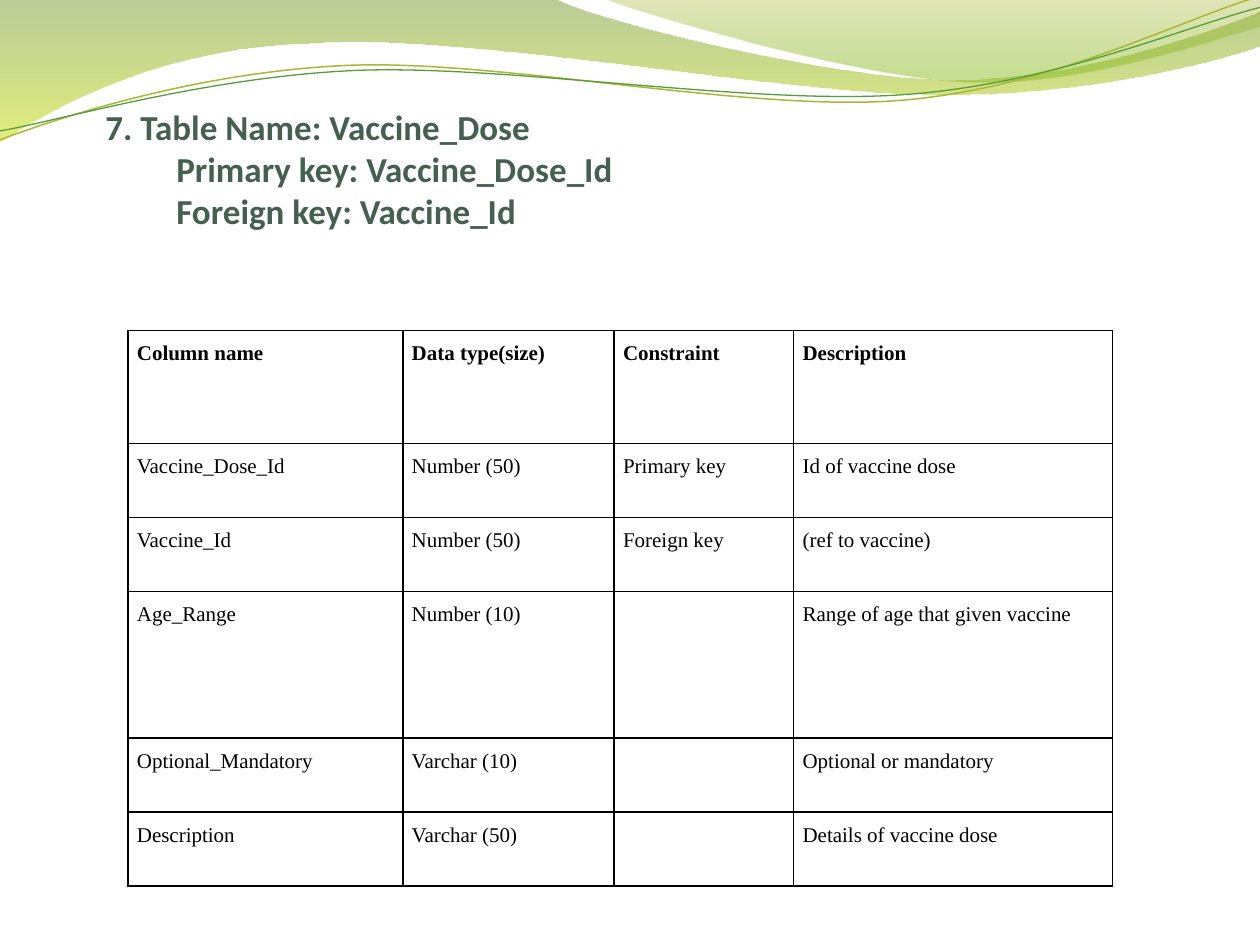
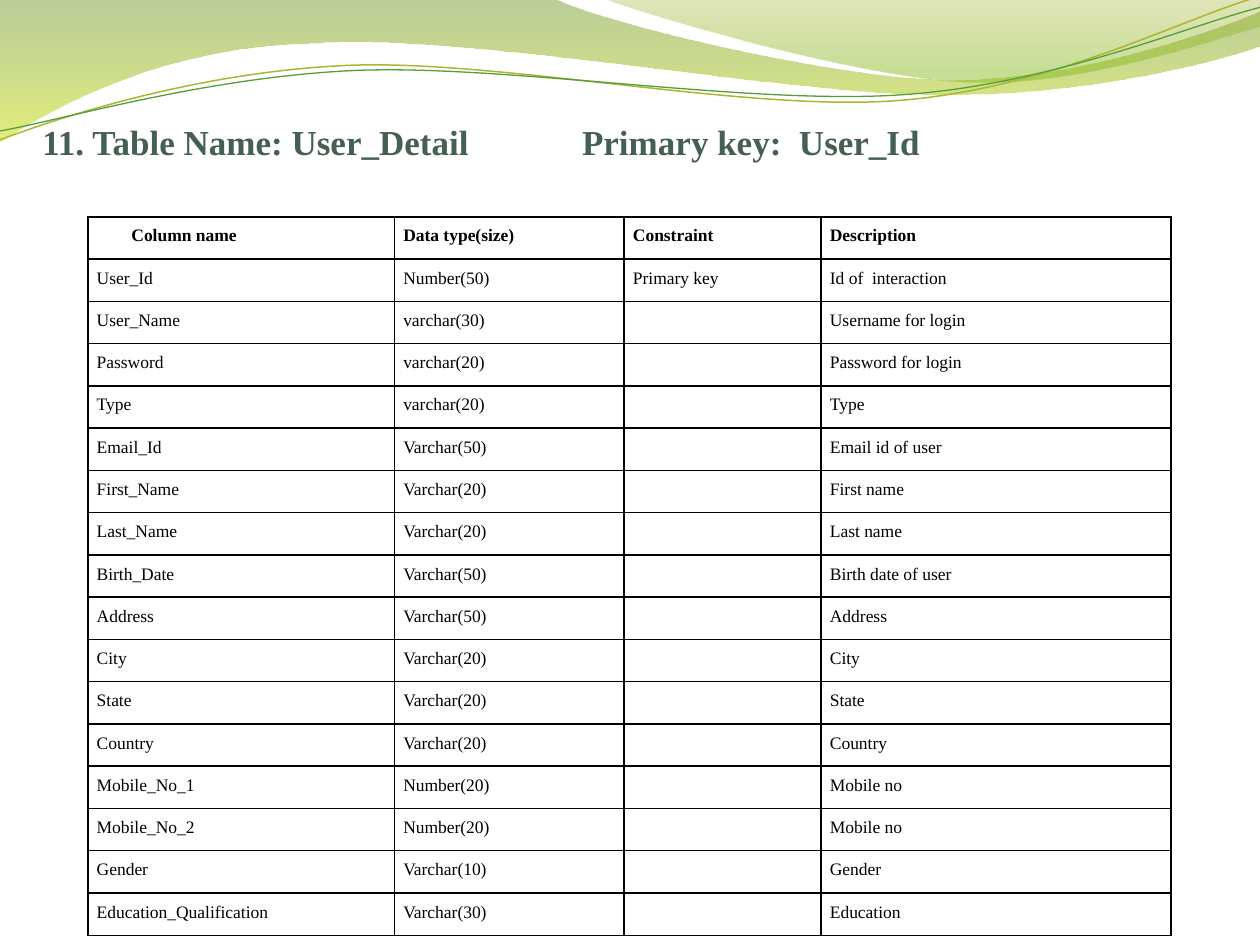
from math import cos, radians, sin

from lxml.etree import SubElement
from pptx import Presentation
from pptx.dml.color import RGBColor
from pptx.enum.text import MSO_ANCHOR, MSO_AUTO_SIZE, PP_ALIGN
from pptx.oxml.ns import qn
from pptx.util import Cm, Pt

WHITE = RGBColor(0xFF, 0xFF, 0xFF)
BLACK = RGBColor(0x00, 0x00, 0x00)
TITLE_GREEN = RGBColor(0x45, 0x5F, 0x51)
OLIVE = RGBColor(0x69, 0x92, 0x1C)
LIME = RGBColor(0xCC, 0xE1, 0x0F)
MOSS = RGBColor(0x9B, 0xAA, 0x1A)
LEAF = RGBColor(0x81, 0xBA, 0x16)
LINE_OLIVE = RGBColor(0xA9, 0xB7, 0x33)
LINE_GREEN = RGBColor(0x54, 0x9E, 0x39)
SERIF = "Times New Roman"
SANS = "Calibri"
LINE_TILT = 2.7

WIDE_BAND = [
    [(0, 0)],
    [(11.18, -0.03)],
    [(12.07, 0.43), (16.84, 1.6), (19.25, 1.6)],
    [(21.67, 1.6), (24.33, 0.66), (25.4, 0.23)],
    [(25.43, 0.91)],
    [(24.97, 1.12), (22.07, 1.93), (18.95, 1.91)],
    [(15.8, 1.91), (9.68, 0.71), (6.53, 0.86)],
    [(3.28, 0.91), (1.17, 2.11), (-0.03, 2.87)],
    [(0, 0)],
]
RIGHT_BAND = [
    [(12.17, -0.03)],
    [(12.93, 0.28), (17.32, 1.57), (19.51, 1.65)],
    [(21.72, 1.75), (24.41, 0.81), (25.4, 0.53)],
    [(25.4, 0)],
    [(12.17, -0.03)],
]
OLIVE_LINE = [
    [(0, 2.82)],
    [(1.22, 2.36), (3.99, 1.45), (7.01, 1.32)],
    [(10.03, 1.19), (15.04, 2.26), (18.08, 2.03)],
    [(21.16, 1.8), (23.83, 0.38), (25.32, -0.05)],
]
GREEN_LINE = [
    [(0, 2.64)],
    [(1.19, 2.44), (4.14, 1.55), (7.19, 1.42)],
    [(10.21, 1.3), (15.16, 2.13), (18.21, 1.91)],
    [(21.23, 1.7), (23.9, 0.53), (25.4, 0.15)],
]
BANDS = [
    (WIDE_BAND, [(0, OLIVE, 45), (1, LIME, 55)]),
    (RIGHT_BAND, [(0, MOSS, 30), (0.8, LEAF, 45)]),
]
LINES = [
    (OLIVE_LINE, (12.67, 1.46), LINE_OLIVE, 0.85),
    (GREEN_LINE, (12.69, 1.5), LINE_GREEN, 0.75),
]

HEADER = ("Column name", "Data type(size)", "Constraint", "Description")
DOSE_ROWS = [
    HEADER,
    ("Vaccine_Dose_Id", "Number (50)", "Primary key", "Id of vaccine dose"),
    ("Vaccine_Id", "Number (50)", "Foreign key", "(ref to vaccine)"),
    ("Age_Range", "Number (10)", "", "Range of age that given vaccine"),
    ("Optional_Mandatory", "Varchar (10)", "", "Optional or mandatory"),
    ("Description", "Varchar (50)", "", "Details of vaccine dose"),
]
USER_ROWS = [
    HEADER,
    ("User_Id", "Number(50)", "Primary key", "Id of  interaction"),
    ("User_Name", "varchar(30)", "", "Username for login"),
    ("Password", "varchar(20)", "", "Password for login"),
    ("Type", "varchar(20)", "", "Type"),
    ("Email_Id", "Varchar(50)", "", "Email id of user"),
    ("First_Name", "Varchar(20)", "", "First name"),
    ("Last_Name", "Varchar(20)", "", "Last name"),
    ("Birth_Date", "Varchar(50)", "", "Birth date of user"),
    ("Address", "Varchar(50)", "", "Address"),
    ("City", "Varchar(20)", "", "City"),
    ("State", "Varchar(20)", "", "State"),
    ("Country", "Varchar(20)", "", "Country"),
    ("Mobile_No_1", "Number(20)", "", "Mobile no"),
    ("Mobile_No_2", "Number(20)", "", "Mobile no"),
    ("Gender", "Varchar(10)", "", "Gender"),
    ("Education_Qualification", "Varchar(30)", "", "Education"),
]


def turn(segments, center, degrees):
    """Turn all points of the segments clockwise about a centre."""
    cx, cy = center
    c, n = cos(radians(degrees)), sin(radians(degrees))
    return [[(cx + (x - cx) * c - (y - cy) * n, cy + (x - cx) * n + (y - cy) * c)
             for x, y in segment] for segment in segments]


def add_wave(s, segments, left, top, close):
    """Draw an outline of straight (one point) and Bezier (three points) segments."""
    points = [(Cm(left + x), Cm(top + y)) for segment in segments for x, y in segment]
    builder = s.shapes.build_freeform(*points[0])
    builder.add_line_segments(points[1:], close=close)
    sp = builder.convert_to_shape()
    sp.shadow.inherit = False
    outline = sp.element.xpath(".//a:path")[0]
    steps = iter(sp.element.xpath(".//a:lnTo"))
    for segment in segments[1:]:
        parts = [next(steps) for _ in segment]
        if len(parts) == 3:
            curve = SubElement(outline, qn("a:cubicBezTo"))
            parts[0].addprevious(curve)
            for part in parts:
                curve.append(part[0])
                outline.remove(part)
    return sp


def add_waves(s, left, top):
    """Draw the header bands and lines and move them to the layout of the slide."""
    waves = []
    for segments, stops in BANDS:
        sp = add_wave(s, segments, left, top, True)
        sp.line.fill.background()
        sp.fill.gradient()
        sp.fill.gradient_angle = 270
        for stop, (position, color, _) in zip(sp.fill.gradient_stops, stops):
            stop.position = position
            stop.color.rgb = color
        for clr, (_, _, opacity) in zip(sp.element.xpath(".//a:gs/a:srgbClr"), stops):
            SubElement(clr, qn("a:alpha")).set("val", str(opacity * 1000))
        waves.append(sp)
    for segments, center, color, width in LINES:
        sp = add_wave(s, turn(segments, center, LINE_TILT), left, top, False)
        sp.rotation = -LINE_TILT
        sp.fill.background()
        sp.line.color.rgb = color
        sp.line.width = Pt(width)
        waves.append(sp)
    for i, sp in enumerate(waves):
        sp.element.xpath(".//p:cNvPr")[0].set("id", str(20 + i))
        s.slide_layout.shapes.element.insert(2 + i, sp.element)


def add_run(p, text, font, size, color, bold):
    """Add one formatted run to a paragraph."""
    r = p.add_run()
    r.text = text
    r.font.name = font
    r.font.size = Pt(size)
    r.font.bold = bold
    r.font.color.rgb = color


def indent(p, width):
    """Indent a paragraph from the left by a width in centimetres."""
    pPr = p._p.get_or_add_pPr()
    pPr.set("marL", str(Cm(width)))
    pPr.set("indent", "0")


def set_title(s, box, lines, font, indent_width=0, tab=None):
    """Place and fill the title, indenting every line after the first."""
    sp = s.shapes.title
    sp.left, sp.top, sp.width, sp.height = map(Cm, box)
    tf = sp.text_frame
    tf.word_wrap = True
    tf.auto_size = MSO_AUTO_SIZE.NONE
    tf.vertical_anchor = MSO_ANCHOR.MIDDLE
    for i, line in enumerate(lines):
        p = tf.add_paragraph() if i else tf.paragraphs[0]
        p.alignment = PP_ALIGN.LEFT
        p.space_before = Pt(0)
        if i:
            indent(p, indent_width)
        if tab:
            tabs = SubElement(p._p.get_or_add_pPr(), qn("a:tabLst"))
            SubElement(tabs, qn("a:tab"), pos=str(Cm(tab)), algn="l")
        add_run(p, line, font, 20, TITLE_GREEN, True)


def format_cell(cell, text, size, bold):
    """Give a cell its borders, fill, margins and text."""
    tcPr = cell._tc.get_or_add_tcPr()
    for side in ("a:lnL", "a:lnR", "a:lnT", "a:lnB"):
        ln = SubElement(tcPr, qn(side), w=str(Pt(1)))
        SubElement(SubElement(ln, qn("a:solidFill")), qn("a:srgbClr"), val=str(BLACK))
    cell.fill.solid()
    cell.fill.fore_color.rgb = WHITE
    cell.margin_left = cell.margin_right = Cm(0.18)
    cell.margin_top = cell.margin_bottom = 0
    if text:
        p = cell.text_frame.paragraphs[0]
        p.alignment = PP_ALIGN.JUSTIFY
        p.line_spacing = 1.5
        p.space_after = Pt(10)
        add_run(p, text, SERIF, size, BLACK, bold)


def add_field_table(s, left, top, widths, heights, rows, size):
    """Add a table of database fields with a bold first row."""
    frame = s.shapes.add_table(len(rows), len(widths), Cm(left), Cm(top),
                               Cm(sum(widths)), Cm(sum(heights)))
    table = frame.table
    table.first_row = table.horz_banding = False
    for column, width in zip(table.columns, widths):
        column.width = Cm(width)
    for i, (height, values) in enumerate(zip(heights, rows)):
        table.rows[i].height = Cm(height)
        for j, text in enumerate(values):
            format_cell(table.cell(i, j), text, size, i == 0)
    return table


def build_dose_slide(s):
    """Fill the slide on the vaccine dose table."""
    set_title(s, (1.87, 1.98, 10.9, 2.82),
              ["7. Table Name: Vaccine_Dose", "Primary key: Vaccine_Dose_Id",
               "Foreign key: Vaccine_Id"], SANS, indent_width=1.43)
    add_field_table(s, 2.58, 6.66, (5.54, 4.26, 3.62, 6.43),
                    (2.28, 1.49, 1.49, 2.96, 1.49, 1.49), DOSE_ROWS, 12)


def build_user_slide(s):
    """Fill the slide on the user detail table."""
    set_title(s, (0.6, 2.3, 18.4, 1.12),
              ["11. Table Name: User_Detail\tPrimary key:  User_Id"], SERIF, tab=10.88)
    table = add_field_table(s, 1.77, 4.37, (6.18, 4.63, 3.97, 7.06),
                            [14.5 / len(USER_ROWS)] * len(USER_ROWS), USER_ROWS, 10)
    indent(table.cell(0, 0).text_frame.paragraphs[0], 0.7)


def main():
    """Build and save the presentation."""
    prs = Presentation()
    prs.slide_width, prs.slide_height = Cm(25.4), Cm(19.05)
    layout = prs.slide_layouts[5]
    dose, user = (prs.slides.add_slide(layout) for _ in range(2))
    add_waves(dose, 0, 0)
    build_dose_slide(dose)
    build_user_slide(user)
    prs.save("out.pptx")


if __name__ == "__main__":
    main()
